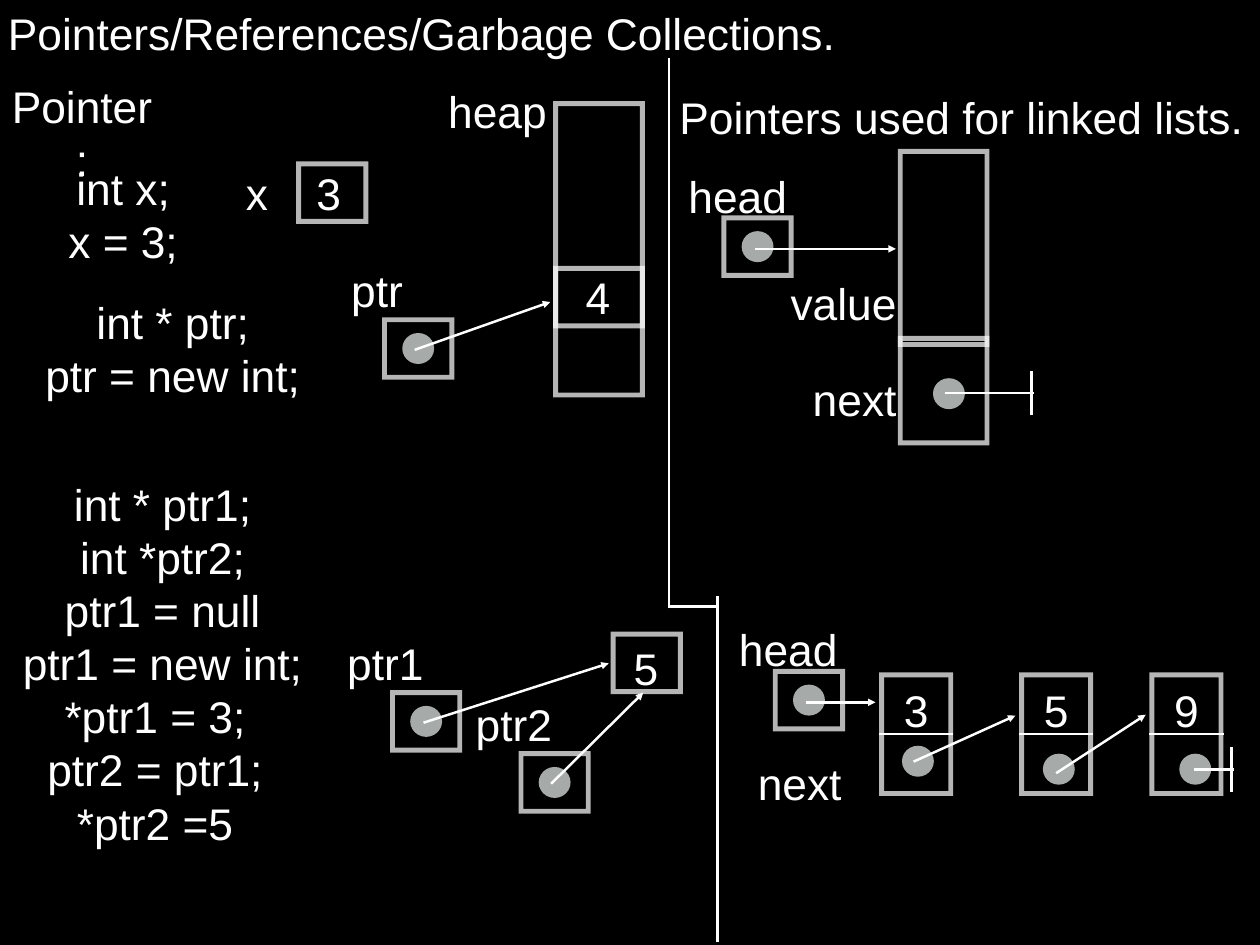
import pptx
import pptx.util
import pptx.dml.color
import pptx.enum.shapes
import pptx.enum.text
import pptx.oxml
import pptx.oxml.ns

Inches = pptx.util.Inches
SHAPE = pptx.enum.shapes.MSO_SHAPE
ALIGN = pptx.enum.text.PP_ALIGN
COLORS = {"back": "000000", "ink": "FFFFFF", "dot": "A6AAA8"}

# Content: lines of text, left, top, width
TITLE = (["Pointers/References/Garbage Collections."], 0.03, 0.02, 11)
HEADING = (["Pointer:"], 0.03, 1.14, 1.79)
CODE = [
    (["int x;", "x = 3;"], 0.72, 1.76, 1.34),
    (["int * ptr;", "ptr = new int;"], 0.47, 3.28, 2.96),
    (["int * ptr1;", "int *ptr2;", "ptr1 = null", "ptr1 = new int;"],
     0.21, 5.33, 3.25),
    (["*ptr1 = 3;", "ptr2 = ptr1;", "*ptr2 =5"], 0.48, 7.73, 2.54),
]
LABELS = [
    (["Pointers used for linked lists."], 7.62, 0.96, 6.46),
    (["heap"], 5.01, 0.89, 1.21),
    (["x"], 2.71, 1.82, 0.38),
    (["ptr"], 3.91, 2.92, 0.69),
    (["ptr1"], 3.87, 7.13, 0.96),
    (["ptr2"], 5.31, 7.82, 0.98),
    (["head"], 7.72, 1.85, 1.21),
    (["value"], 8.87, 3.06, 1.3),
    (["next"], 9.12, 4.15, 1.05),
    (["head"], 8.29, 6.97, 1.21),
    (["next"], 8.5, 8.48, 1.05),
    (["3"], 3.51, 1.82, 0.4),
    (["4"], 6.55, 3.0, 0.4),
    (["5"], 7.09, 7.18, 0.4),
]

# Memory: cell size, then left and top of each cell
CELL = (0.76, 0.65)
VALUES = [(3.37, 1.85), (6.92, 7.16)]
POINTERS = [(4.34, 3.61), (4.43, 7.82), (5.88, 8.51), (8.17, 2.46),
            (8.75, 7.58)]
BLOCKS = [(6.27, 1.17, 0.98, 3.29), (6.27, 3.03, 0.98, 0.65),
          (10.16, 1.71, 0.98, 3.29), (10.16, 3.82, 0.98, 0.07)]

# Linked list: value, left of node, left and top of its dot
NODES = [("3", 9.95, 10.18, 8.42), ("5", 11.53, 11.77, 8.51),
         ("9", 13.0, 13.31, 8.51)]
NODE_TOP, NODE_W, NODE_H = 7.62, 0.78, 1.34

# Lines: x and y of start, x and y of end
ARROWS = [(4.68, 3.95, 6.21, 3.41), (4.78, 8.16, 6.87, 7.49),
          (6.22, 8.85, 7.26, 7.82), (8.52, 2.81, 10.11, 2.81),
          (9.1, 7.93, 9.88, 7.93), (10.31, 8.6, 11.46, 8.08),
          (11.92, 8.73, 12.93, 8.07)]
NULLS = [(10.66, 4.44, 11.64), (13.47, 8.69, 13.9)]  # start x, y, bar x
DIVIDER = [(7.55, 6.87, 7.55, 0.66), (8.1, 6.85, 7.55, 6.85),
           (8.1, 10.64, 8.1, 6.73)]


def rgb(name):
    return pptx.dml.color.RGBColor.from_string(COLORS[name])


def tag(parent, name, **attrs):
    node = pptx.oxml.parse_xml(
        f"<{name} {pptx.oxml.ns.nsdecls('a')}/>")
    for key, val in attrs.items():
        node.set(key, val)
    parent.append(node)


def write(box, lines, left, top, width, wrap=False, align=ALIGN.CENTER):
    box.left, box.top = Inches(left), Inches(top)
    box.width, box.height = Inches(width), Inches(0.11 + 0.6 * len(lines))
    frame = box.text_frame
    frame.text = "\n".join(lines)
    frame.word_wrap = wrap
    frame.auto_size = pptx.enum.text.MSO_AUTO_SIZE.NONE
    frame.vertical_anchor = pptx.enum.text.MSO_ANCHOR.MIDDLE
    frame.margin_left = frame.margin_right = Inches(0.06)
    frame.margin_top = frame.margin_bottom = Inches(0.06)
    for para in frame.paragraphs:
        para.alignment = align
        for run in para.runs:
            run.font.name = "Arial"
            run.font.size = pptx.util.Pt(36)
            run.font.color.rgb = rgb("ink")


def label(lines, left, top, width, wrap=False):
    box = slide.shapes.add_textbox(0, 0, 0, 0)
    write(box, lines, left, top, width, wrap)


def shape(kind, *place):
    item = slide.shapes.add_shape(kind, *map(Inches, place))
    item.shadow.inherit = False
    return item


def cell(left, top, width, height):
    item = shape(SHAPE.RECTANGLE, left, top, width, height)
    item.fill.background()
    item.line.width = pptx.util.Pt(4)
    item.line.color.rgb = rgb("ink")
    line = item.line._get_or_add_ln()
    tag(line.find(".//" + pptx.oxml.ns.qn("a:srgbClr")), "a:alpha",
        val="71000")
    tag(line, "a:miter", lim="800000")


def dot(left, top):
    item = shape(SHAPE.OVAL, left, top, 0.36, 0.35)
    item.fill.solid()
    item.fill.fore_color.rgb = rgb("dot")
    item.line.fill.background()


def line(*ends, arrow=False):
    item = slide.shapes.add_connector(
        pptx.enum.shapes.MSO_CONNECTOR.STRAIGHT, *map(Inches, ends))
    item.line.width = pptx.util.Pt(2)
    item.line.color.rgb = rgb("ink")
    if arrow:
        tag(item.line._get_or_add_ln(), "a:tailEnd", type="triangle")
    tag(item._element.spPr, "a:effectLst")


# Slide and title
deck = pptx.Presentation()
deck.slide_width, deck.slide_height = Inches(14.22), Inches(10.67)
slide = deck.slides.add_slide(deck.slide_layouts[5])
slide.background.fill.solid()
slide.background.fill.fore_color.rgb = rgb("back")
write(slide.shapes.title, *TITLE, wrap=True, align=ALIGN.LEFT)

# Cells and pointers
for block in BLOCKS:
    cell(*block)
for left, top in VALUES + POINTERS:
    cell(left, top, *CELL)
for left, top in POINTERS:
    dot(left + 0.2, top + 0.15)
dot(10.53, 4.27)

# List nodes
for value, left, dot_x, dot_y in NODES:
    cell(left, NODE_TOP, NODE_W, NODE_H)
    mid = NODE_TOP + NODE_H / 2
    line(left - 0.03, mid, left + NODE_W + 0.03, mid)
    dot(dot_x, dot_y)
    label([value], left + (NODE_W - 0.4) / 2, NODE_TOP + 0.04, 0.4)

# Arrows, null ends and divider
for ends in ARROWS:
    line(*ends, arrow=True)
for start, y, bar in NULLS:
    line(start, y, bar + 0.03, y)
    line(bar, y + 0.25, bar, y - 0.25)
for ends in DIVIDER:
    line(*ends)

# Code and labels
label(*HEADING, wrap=True)
for item in CODE + LABELS:
    label(*item)

deck.save("out.pptx")
